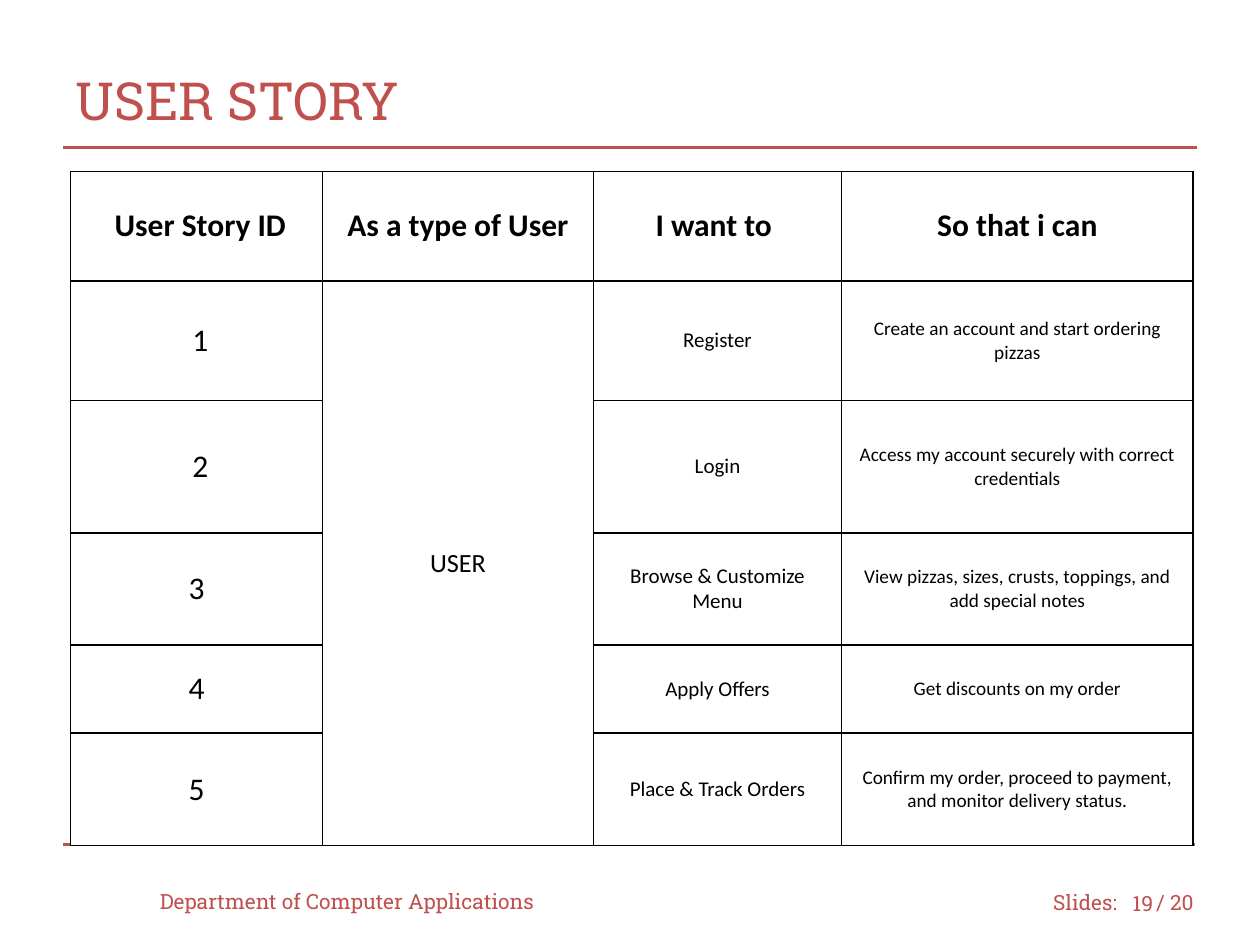
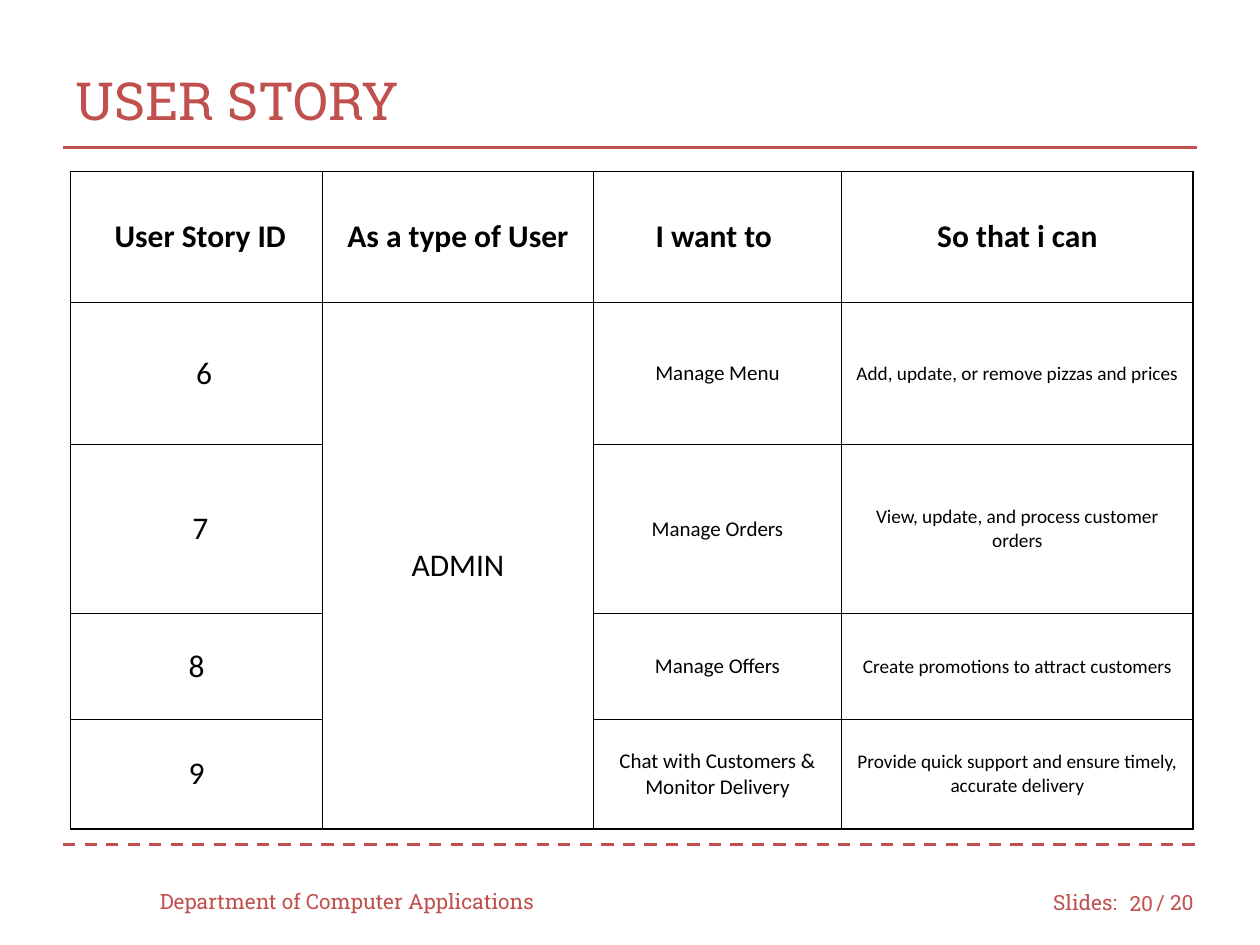
import lxml.etree
import pptx
import pptx.util
import pptx.dml.color
import pptx.enum.dml
import pptx.enum.shapes
import pptx.enum.text
import pptx.oxml.ns

PX = 9144
COLORS = {"accent": "C0504D", "ink": "000000", "paper": "FFFFFF"}
DISPLAY_FONT = "Roboto Slab"
TABLE_FONT = "Calibri"
LEFT = pptx.enum.text.PP_ALIGN.LEFT
CENTER = pptx.enum.text.PP_ALIGN.CENTER
RIGHT = pptx.enum.text.PP_ALIGN.RIGHT
MIDDLE = pptx.enum.text.MSO_ANCHOR.MIDDLE

TOTAL_PAGES = 20
COLUMN_WIDTHS = [200, 215, 197, 279]
HEADERS = [("User Story ID", 6), ("As a type of User", 0), ("I want to", -6), ("So that i can", 0)]
CELL_INSET = 10

USER_STORIES = [
    (95, "1", 6, "Register", "Create an account and start ordering pizzas"),
    (105, "2", 6, "Login", "Access my account securely with correct credentials"),
    (89, "3", 0, "Browse & Customize Menu", "View pizzas, sizes, crusts, toppings, and add special notes"),
    (70, "4", 0, "Apply Offers", "Get discounts on my order"),
    (89, "5", 0, "Place & Track Orders", "Confirm my order, proceed to payment, and monitor delivery status."),
]
ADMIN_STORIES = [
    (113, "6", 12, "Manage Menu", "Add, update, or remove pizzas and prices"),
    (134, "7", 6, "Manage Orders", "View, update, and process customer orders"),
    (84, "8", 0, "Manage Offers", "Create promotions to attract customers"),
    (87, "9", 0, "Chat with Customers & Monitor Delivery", "Provide quick support and ensure timely, accurate delivery"),
]


def px(length):
    return pptx.util.Emu(length * PX)


def rgb(name):
    return pptx.dml.color.RGBColor.from_string(COLORS[name])


class StoryDeck:
    def __init__(self):
        self.deck = pptx.Presentation()
        self.deck.slide_width = px(1000)
        self.deck.slide_height = px(750)
        self.page = None

    def style(self, para, size, font, color, align=LEFT, bold=False):
        para.alignment = align
        para.font.size = pptx.util.Pt(size)
        para.font.name = font
        para.font.bold = bold
        para.font.color.rgb = rgb(color)

    def text(self, words, left, top, width, height, size=12, align=LEFT):
        box = self.page.shapes.add_textbox(px(left), px(top), px(width), px(height))
        box.text_frame.word_wrap = True
        box.text_frame.vertical_anchor = MIDDLE
        para = box.text_frame.paragraphs[0]
        para.text = words
        self.style(para, size, DISPLAY_FONT, "accent", align)

    def rule(self, top, dash=None):
        line = self.page.shapes.add_connector(
            pptx.enum.shapes.MSO_CONNECTOR.STRAIGHT, px(50), px(top), px(950), px(top))
        line.line.color.rgb = rgb("accent")
        line.line.width = pptx.util.Pt(1.75)
        line.line.dash_style = dash
        lxml.etree.SubElement(line._element.spPr, pptx.oxml.ns.qn("a:effectLst"))

    def frame(self, title, number):
        self.page = self.deck.slides.add_slide(self.deck.slide_layouts[6])
        self.rule(670, pptx.enum.dml.MSO_LINE.DASH)
        self.rule(117)
        self.text(title, 50, 33, 900, 92, size=30)
        self.text("Department of Computer Applications", 117, 695, 333, 40)
        self.text("Slides:", 826, 696, 75, 40)
        self.text(str(number), 883, 697, 42, 40, align=RIGHT)
        self.text(f"/ {TOTAL_PAGES}", 908, 696, 58, 40)

    def borders(self, cell, sides):
        properties = cell._tc.get_or_add_tcPr()
        for side in sides:
            edge = lxml.etree.SubElement(properties, pptx.oxml.ns.qn(f"a:ln{side}"), w="12700")
            fill = lxml.etree.SubElement(edge, pptx.oxml.ns.qn("a:solidFill"))
            lxml.etree.SubElement(fill, pptx.oxml.ns.qn("a:srgbClr"), val=COLORS["ink"])

    def cell(self, cell, words, size, bold=False, nudge=0):
        cell.vertical_anchor = MIDDLE
        cell.margin_left = px(CELL_INSET + max(nudge, 0))
        cell.margin_right = px(CELL_INSET + max(-nudge, 0))
        para = cell.text_frame.paragraphs[0]
        para.text = words
        self.style(para, size, TABLE_FONT, "ink", CENTER, bold)

    def stories(self, header_height, role, role_size, stories):
        heights = [header_height] + [story[0] for story in stories]
        last = len(stories)
        table = self.page.shapes.add_table(
            len(heights), len(COLUMN_WIDTHS), px(56), px(136),
            px(sum(COLUMN_WIDTHS)), px(sum(heights))).table
        table.first_row = False
        table.horz_banding = False
        for column, width in zip(table.columns, COLUMN_WIDTHS):
            column.width = px(width)
        for row, height in zip(table.rows, heights):
            row.height = px(height)

        table.cell(1, 1).merge(table.cell(last, 1))
        for index, row in enumerate(table.rows):
            for cell in row.cells:
                if not cell.is_spanned:
                    sides = "LRTB"
                else:
                    sides = "LRB" if index == last else "LR"
                self.borders(cell, sides)
                cell.fill.solid()
                cell.fill.fore_color.rgb = rgb("paper")

        for column, (words, nudge) in enumerate(HEADERS):
            self.cell(table.cell(0, column), words, 18, True, nudge)
        self.cell(table.cell(1, 1), role, role_size)
        for index, (height, story_id, nudge, want, benefit) in enumerate(stories, 1):
            self.cell(table.cell(index, 0), story_id, 18, nudge=nudge)
            self.cell(table.cell(index, 2), want, 12)
            self.cell(table.cell(index, 3), benefit, 11)


def main():
    story_deck = StoryDeck()
    story_deck.frame("USER STORY", 19)
    story_deck.stories(87, "USER", 15, USER_STORIES)
    story_deck.frame("USER STORY", 20)
    story_deck.stories(104, "ADMIN", 18, ADMIN_STORIES)
    story_deck.deck.save("out.pptx")


if __name__ == "__main__":
    main()
